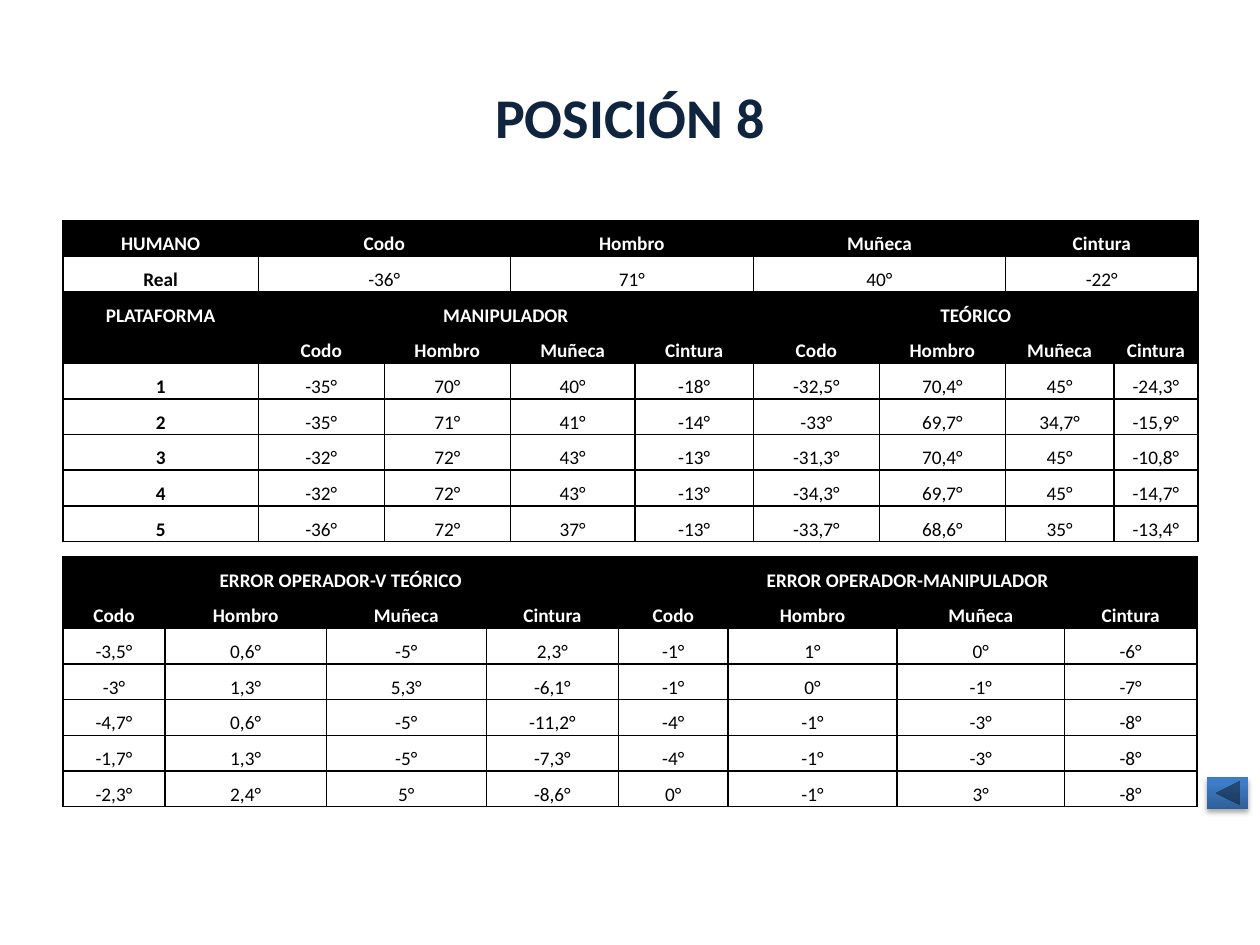
from lxml.etree import SubElement
from pptx import Presentation
from pptx.dml.color import RGBColor
from pptx.enum.shapes import MSO_SHAPE
from pptx.enum.text import MSO_ANCHOR, PP_ALIGN
from pptx.oxml import parse_xml
from pptx.oxml.ns import nsdecls, qn
from pptx.util import Inches, Pt


def color(code):
    return RGBColor.from_string(code)


class Deck:
    face = "Calibri"
    black, white, navy = "000000", "FFFFFF", "0F243E"
    low, high = "2F5F99", "3D7CC7"

    def __init__(self, prs):
        self.slide = prs.slides.add_slide(prs.slide_layouts[5])

    def font(self, para, size, tint, bold):
        para.alignment = PP_ALIGN.CENTER
        para.font.name = self.face
        para.font.size = Pt(size)
        para.font.bold = bold
        para.font.color.rgb = color(tint)

    def title(self, text, x, y, w, h):
        box = self.slide.shapes.title
        box.left, box.top, box.width, box.height = map(Inches, (x, y, w, h))
        box.text_frame.text = text
        box.text_frame.vertical_anchor = MSO_ANCHOR.MIDDLE
        self.font(box.text_frame.paragraphs[0], 32, self.navy, True)

    def border(self, cell):
        props = cell._tc.get_or_add_tcPr()
        for side in ("lnL", "lnR", "lnT", "lnB"):
            line = SubElement(props, qn(f"a:{side}"), w=str(Pt(1)))
            fill = SubElement(line, qn("a:solidFill"))
            SubElement(fill, qn("a:srgbClr"), val=self.black)

    def cell(self, cell, text, head, bold):
        cell.margin_left = cell.margin_right = Inches(0.07)
        cell.margin_top = cell.margin_bottom = 0
        self.border(cell)
        if head:
            cell.fill.solid()
            cell.fill.fore_color.rgb = color(self.black)
        else:
            cell.fill.background()
        cell.text = text
        para = cell.text_frame.paragraphs[0]
        para.line_spacing = 1.5
        self.font(para, 11, self.white if head else self.black, bold)

    def table(self, x, y, widths, rows, heads, spans, labels=False):
        """Spans are (row, column, rows, columns); labels bolds column 0."""
        tall = Inches(0.28)
        grid = self.slide.shapes.add_table(
            len(rows), len(widths), Inches(x), Inches(y),
            Inches(sum(widths)), tall * len(rows)).table
        grid.first_row = grid.horz_banding = False
        for col, wide in zip(grid.columns, widths):
            col.width = Inches(wide)
        for r, row in enumerate(rows):
            grid.rows[r].height = tall
            head = r in heads
            for c, text in enumerate(row):
                self.cell(grid.cell(r, c), text, head,
                          head or (labels and c == 0))
        for r, c, down, across in spans:
            end = grid.cell(r + down - 1, c + across - 1)
            grid.cell(r, c).merge(end)

    def button(self, x, y, w, h):
        shape = self.slide.shapes.add_shape(
            MSO_SHAPE.ACTION_BUTTON_BACK_OR_PREVIOUS,
            Inches(x), Inches(y), Inches(w), Inches(h))
        shape.line.fill.background()
        shape.fill.gradient()
        shape.fill.gradient_angle = 90
        stops = shape.fill.gradient_stops
        for stop, place, tint in zip(stops, (0, 0.8), (self.low, self.high)):
            stop.position = place
            stop.color.rgb = color(tint)
        # Soft shadow straight below
        shape._element.spPr.append(parse_xml(
            f'<a:effectLst {nsdecls("a")}><a:outerShdw blurRad="{Pt(3.1)}" '
            f'dist="{Pt(1.8)}" dir="5400000" rotWithShape="0">'
            f'<a:srgbClr val="{self.black}"><a:alpha val="35000"/>'
            '</a:srgbClr></a:outerShdw></a:effectLst>'))


def spread(texts, span):
    """Follow each text with the blank cells that it spans."""
    return [part for text in texts for part in [text] + [""] * (span - 1)]


def angles(text):
    return [value + "°" for value in text.split()]


prs = Presentation()
prs.slide_width, prs.slide_height = Inches(10), Inches(7.5)
deck = Deck(prs)
deck.title("POSICIÓN 8", 0.5, 0.3, 9, 1.25)

joints = ["Codo", "Hombro", "Muñeca", "Cintura"]

# Measured angles: human, manipulator and theory
trials = [
    "-35 70 40 -18 -32,5 70,4 45 -24,3",
    "-35 71 41 -14 -33 69,7 34,7 -15,9",
    "-32 72 43 -13 -31,3 70,4 45 -10,8",
    "-32 72 43 -13 -34,3 69,7 45 -14,7",
    "-36 72 37 -13 -33,7 68,6 35 -13,4",
]
rows = [
    ["HUMANO"] + spread(joints, 2),
    ["Real"] + spread(angles("-36 71 40 -22"), 2),
    ["PLATAFORMA"] + spread(["MANIPULADOR", "TEÓRICO"], 4),
    [""] + joints * 2,
] + [[str(n)] + angles(trial) for n, trial in enumerate(trials, 1)]
pairs = [(r, c, 1, 2) for r in (0, 1) for c in (1, 3, 5, 7)]
deck.table(0.5, 1.75, [1.55, 1, 1, 0.99, 0.94, 1, 1, 0.86, 0.67], rows,
           heads=(0, 2, 3), labels=True,
           spans=pairs + [(2, 0, 2, 1), (2, 1, 1, 4), (2, 5, 1, 4)])

# Errors against theory and manipulator
errors = [
    "-3,5 0,6 -5 2,3 -1 1 0 -6",
    "-3 1,3 5,3 -6,1 -1 0 -1 -7",
    "-4,7 0,6 -5 -11,2 -4 -1 -3 -8",
    "-1,7 1,3 -5 -7,3 -4 -1 -3 -8",
    "-2,3 2,4 5 -8,6 0 -1 3 -8",
]
rows = [
    spread(["ERROR OPERADOR-V TEÓRICO", "ERROR OPERADOR-MANIPULADOR"], 4),
    joints * 2,
] + [angles(error) for error in errors]
deck.table(0.5, 4.42, [0.81, 1.28, 1.27, 1.05, 0.87, 1.34, 1.33, 1.05], rows,
           heads=(0, 1), spans=[(0, 0, 1, 4), (0, 4, 1, 4)])

# Back button
deck.button(9.58, 6.17, 0.33, 0.25)

prs.save("out.pptx")
